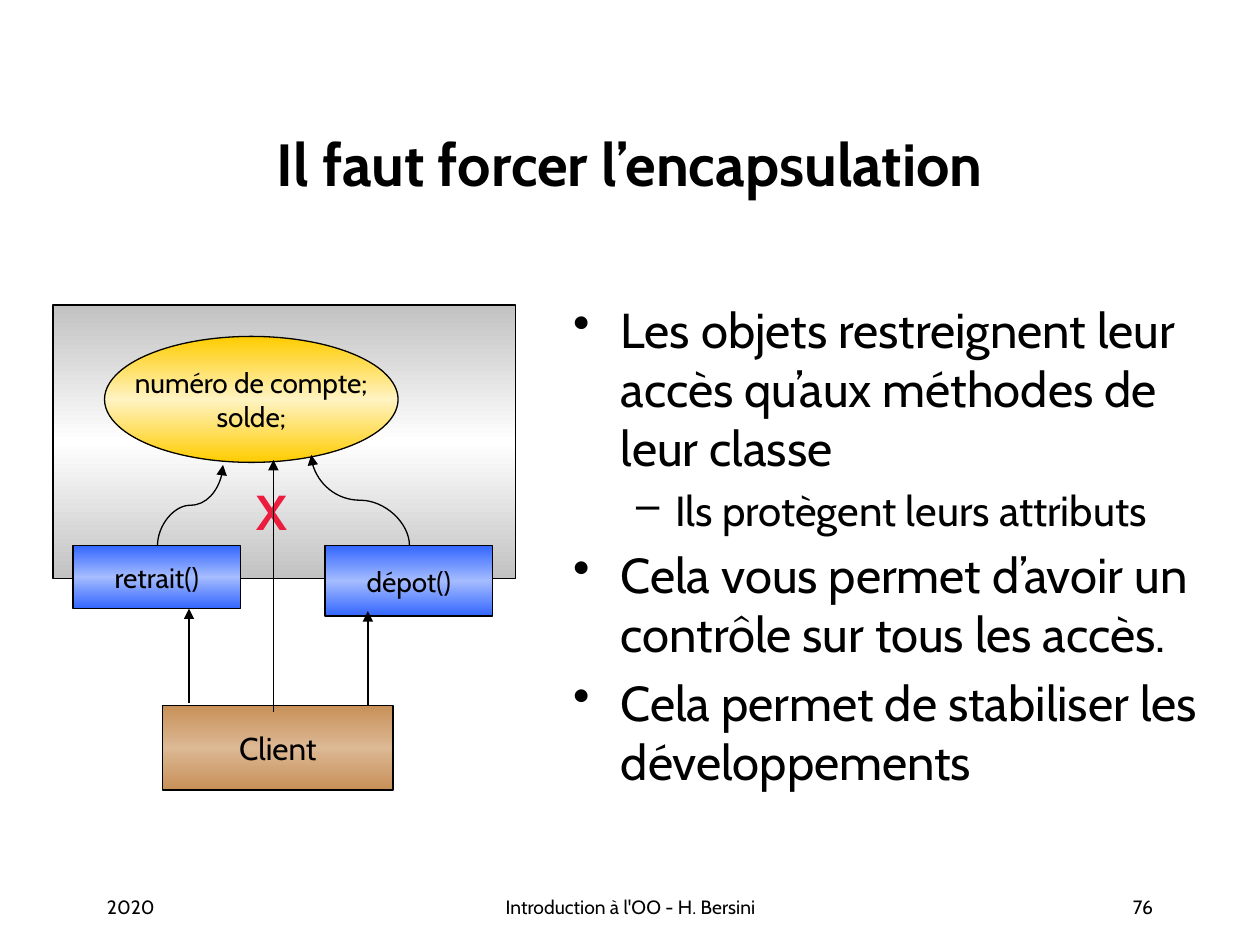
from copy import deepcopy

from pptx import Presentation
from pptx.dml.color import RGBColor
from pptx.enum.shapes import MSO_CONNECTOR, MSO_SHAPE
from pptx.enum.text import MSO_ANCHOR, MSO_AUTO_SIZE, PP_ALIGN
from pptx.oxml.ns import qn
from pptx.util import Inches, Pt

RECTANGLE, OVAL = MSO_SHAPE.RECTANGLE, MSO_SHAPE.OVAL
STRAIGHT, CURVE = MSO_CONNECTOR.STRAIGHT, MSO_CONNECTOR.CURVE
LEFT, CENTER, RIGHT = PP_ALIGN.LEFT, PP_ALIGN.CENTER, PP_ALIGN.RIGHT
TOP, MIDDLE = MSO_ANCHOR.TOP, MSO_ANCHOR.MIDDLE
FONT = "Cabin"
BLACK = "000000"

TITLE = "Il faut forcer l’encapsulation"
BULLETS = [
    (0, "Les objets restreignent leur accès qu’aux méthodes de leur classe"),
    (1, "Ils protègent leurs attributs"),
    (0, "Cela vous permet d’avoir un contrôle sur tous les accès."),
    (0, "Cela permet de stabiliser les développements"),
]
# One entry per level: bullet, text size, left margin, hanging indent
LEVELS = [("•", 28, 0.38, 0.38), ("–", 24, 0.81, 0.31)]

GREY, YELLOW = ("C2C2C2", "FFFFFF"), ("FFCC00", "FFF3C2")
BLUE, BROWN = ("3366FF", "A5BCFF"), ("C89058", "DCB894")
# Preset, box, (edge colour, middle colour), lines of text, text size
OBJECT_PARTS = [
    (RECTANGLE, (0.42, 2.42, 3.67, 2.17), GREY, [], 16),
    (OVAL, (0.83, 2.67, 2.33, 1), YELLOW, ["numéro de compte;", "solde;"], 16),
    (RECTANGLE, (0.58, 4.33, 1.33, 0.5), BLUE, ["retrait()"], 16),
    (RECTANGLE, (2.58, 4.33, 1.33, 0.56), BLUE, ["dépot()"], 16),
]
CLIENT = (RECTANGLE, (1.29, 5.6, 1.83, 0.67), BROWN, ["Client"], 18)
CALLS = [((2.92, 5.6), (2.92, 4.85)), ((1.5, 5.58), (1.5, 4.83))]
ACCESSES = [((1.25, 4.33), (1.77, 3.69)), ((3.25, 4.33), (2.47, 3.61))]
FORBIDDEN_ACCESS = ((2.17, 5.65), (2.17, 3.65))
FOOTERS = [
    ("2020", 0.75, 2.08, LEFT),
    ("Introduction à l'OO - H. Bersini", 3.42, 3.17, CENTER),
    ("76", 7.17, 2.08, RIGHT),
]


def color(value):
    return RGBColor.from_string(value)


def style_paragraph(paragraph, text, size=16, bold=False, fill=BLACK, align=LEFT):
    paragraph.alignment = align
    run = paragraph.add_run()
    run.text = text
    run.font.name = FONT
    run.font.size = Pt(size)
    run.font.bold = bold
    run.font.color.rgb = color(fill)


def write(shape, lines, anchor=TOP, wrap=True, **text_format):
    frame = shape.text_frame
    frame.word_wrap = wrap
    frame.vertical_anchor = anchor
    for index, line in enumerate(lines):
        paragraph = frame.add_paragraph() if index else frame.paragraphs[0]
        style_paragraph(paragraph, line, **text_format)


def add_text(slide, box, lines, **text_format):
    text_box = slide.shapes.add_textbox(*map(Inches, box))
    write(text_box, lines, **text_format)
    return text_box


def add_bullets(slide, box):
    frame = add_text(slide, box, []).text_frame
    for index, (level, text) in enumerate(BULLETS):
        bullet, size, margin, hanging = LEVELS[level]
        paragraph = frame.add_paragraph() if index else frame.paragraphs[0]
        if index:
            paragraph.space_before = Pt(0.2 * size)
        paragraph.level = level
        properties = paragraph._p.get_or_add_pPr()
        properties.set("marL", str(Inches(margin)))
        properties.set("indent", str(-Inches(hanging)))
        character = properties.makeelement(qn("a:buChar"), {"char": bullet})
        properties.append(character)
        style_paragraph(paragraph, text, size=size)


def fill_gradient(shape, edge, middle):
    """Vertical gradient from edge to middle colour and back."""
    shape.fill.gradient()
    shape.fill.gradient_angle = 90
    stops = shape.fill.gradient_stops
    for stop, position, value in zip(stops, (0, 0.5), (edge, middle)):
        stop.position = position
        stop.color.rgb = color(value)
    stop_list = shape._element.spPr.find(".//" + qn("a:gsLst"))
    last_stop = deepcopy(stop_list[0])
    last_stop.set("pos", "100000")
    stop_list.append(last_stop)


def add_part(slide, preset, box, gradient, lines, size):
    shape = slide.shapes.add_shape(preset, *map(Inches, box))
    shape.shadow.inherit = False
    fill_gradient(shape, *gradient)
    shape.line.color.rgb = color(BLACK)
    shape.line.width = Pt(0.75)
    write(shape, lines, anchor=MIDDLE, wrap=False, size=size, align=CENTER)


def add_arrow(slide, begin, end, kind=STRAIGHT):
    arrow = slide.shapes.add_connector(kind, *map(Inches, begin + end))
    arrow.line.color.rgb = color(BLACK)
    arrow.line.width = Pt(0.75)
    line = arrow.line._get_or_add_ln()
    line.append(line.makeelement(qn("a:tailEnd"), {"type": "triangle"}))
    properties = arrow._element.spPr
    properties.append(properties.makeelement(qn("a:effectLst"), {}))
    return arrow


def add_rising_curve(slide, begin, end):
    """Curved arrow that leaves and arrives vertically: a quarter-turned connector."""
    (x1, y1), (x2, y2) = begin, end
    center_x, center_y = (x1 + x2) / 2, (y1 + y2) / 2
    half_height = abs(x2 - x1) / 2
    direction = 1 if x2 > x1 else -1
    half_width = direction * (y1 - y2) / 2
    arrow = add_arrow(
        slide,
        (center_x - half_width, center_y - half_height),
        (center_x + half_width, center_y + half_height),
        CURVE,
    )
    quarter_turns = 3 if direction == 1 else 1
    arrow._element.spPr.xfrm.set("rot", str(quarter_turns * 90 * 60000))


def main():
    presentation = Presentation()
    presentation.slide_width = Inches(10)
    presentation.slide_height = Inches(7.5)
    slide = presentation.slides.add_slide(presentation.slide_layouts[6])

    add_text(slide, (0.75, 0.67, 8.5, 1.25), [TITLE],
             anchor=MIDDLE, size=34, bold=True, align=CENTER)
    add_bullets(slide, (4.45, 2.33, 5.17, 5.5))

    for part in OBJECT_PARTS:
        add_part(slide, *part)
    for begin, end in CALLS:
        add_arrow(slide, begin, end)
    add_part(slide, *CLIENT)
    cross = add_text(slide, (1.94, 3.77, 0.42, 0.57), ["X"],
                     size=28, bold=True, fill="EC1C3F")
    cross.text_frame.auto_size = MSO_AUTO_SIZE.SHAPE_TO_FIT_TEXT
    for begin, end in ACCESSES:
        add_rising_curve(slide, begin, end)
    add_arrow(slide, *FORBIDDEN_ACCESS)

    for text, left, width, align in FOOTERS:
        add_text(slide, (left, 7.06, width, 0.28), [text], size=11, align=align)

    presentation.save("out.pptx")


if __name__ == "__main__":
    main()
